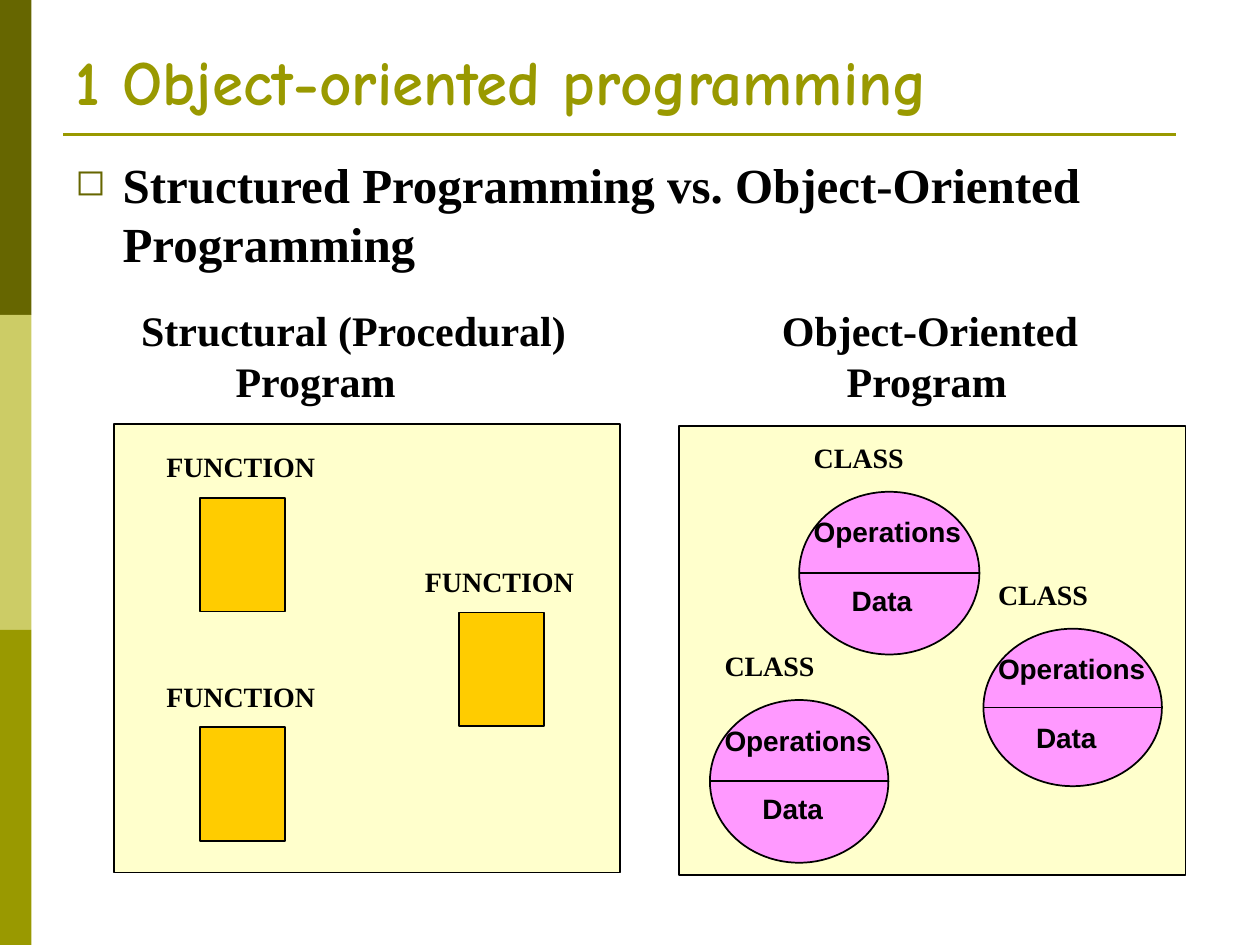
from dataclasses import dataclass

from lxml import etree
from pptx import Presentation
from pptx.dml.color import RGBColor
from pptx.enum.shapes import MSO_CONNECTOR, MSO_SHAPE
from pptx.enum.text import MSO_ANCHOR
from pptx.oxml.ns import qn
from pptx.util import Pt

RECT, OVAL = MSO_SHAPE.RECTANGLE, MSO_SHAPE.OVAL
LINE = MSO_CONNECTOR.STRAIGHT
TOP, BOTTOM = MSO_ANCHOR.TOP, MSO_ANCHOR.BOTTOM


@dataclass(frozen=True)
class Theme:
    dark: str = "666600"
    olive: str = "999900"
    light: str = "CCCC66"
    ink: str = "000000"
    panel: str = "FFFFCC"
    gold: str = "FFCC00"
    pink: str = "FF99FF"
    title: int = 36
    body: int = 28
    head: int = 24
    label: int = 16
    hand: str = "Comic Neue"
    serif: str = "Times New Roman"
    sans: str = "Arial"


class Deck:
    def __init__(self, theme):
        self.theme = theme
        self.prs = Presentation()
        self.prs.slide_width, self.prs.slide_height = Pt(720), Pt(540)
        self.slide = self.prs.slides.add_slide(self.prs.slide_layouts[6])

    def shape(self, kind, x, y, w, h, fill, line=None):
        item = self.slide.shapes.add_shape(kind, Pt(x), Pt(y), Pt(w), Pt(h))
        item.shadow.inherit = False
        item.fill.solid()
        item.fill.fore_color.rgb = RGBColor.from_string(fill)
        if line:
            item.line.color.rgb = RGBColor.from_string(line)
            item.line.width = Pt(1)
        else:
            item.line.fill.background()

    def rule(self, x, y, end, color, width=1):
        item = self.slide.shapes.add_connector(LINE, Pt(x), Pt(y), Pt(end), Pt(y))
        item.line.color.rgb = RGBColor.from_string(color)
        item.line.width = Pt(width)
        etree.SubElement(item._element.spPr, qn("a:effectLst"))

    def text(self, x, y, w, h, words, size, face, color=None,
             pad=(4.3, 2.2), anchor=TOP, indent=0, gap=0):
        """Indent and gap apply to every line after the first."""
        box = self.slide.shapes.add_textbox(Pt(x), Pt(y), Pt(w), Pt(h))
        frame = box.text_frame
        frame.word_wrap = True
        frame.vertical_anchor = anchor
        frame.margin_left = frame.margin_right = Pt(pad[0])
        frame.margin_top = frame.margin_bottom = Pt(pad[1])
        frame.text = words
        for i, para in enumerate(frame.paragraphs):
            if i:
                para._p.get_or_add_pPr().set("marL", str(Pt(indent)))
                para.space_before = Pt(gap)
            for run in para.runs:
                run.font.size = Pt(size)
                run.font.name = face
                run.font.bold = True
                run.font.color.rgb = RGBColor.from_string(color or self.theme.ink)
        return frame

    def bullet(self, para, mark, color, hang, scale):
        props = para._p.get_or_add_pPr()
        props.set("marL", str(Pt(hang)))
        props.set("indent", str(-Pt(hang)))
        tint = etree.SubElement(props, qn("a:buClr"))
        etree.SubElement(tint, qn("a:srgbClr"), val=color)
        etree.SubElement(props, qn("a:buSzPct"), val=str(scale * 1000))
        etree.SubElement(props, qn("a:buChar"), char=mark)

    def panel(self, x, y):
        self.shape(RECT, x, y, 289.5, 256.3, self.theme.panel, self.theme.ink)

    def function(self, x, y):
        t = self.theme
        self.text(x - 23.7, y - 29.5, 101, 26.5, "FUNCTION", t.label, t.serif)
        self.shape(RECT, x, y, 48.5, 65, t.gold, t.ink)

    def group(self, x, y, w, h):
        t = self.theme
        self.text(x + 4, y - 31.5, 87, 28, "CLASS", t.label, t.serif)
        self.shape(OVAL, x, y, w, h, t.pink, t.ink)
        self.rule(x, y + h / 2, x + w, t.ink)
        self.text(x + 4, y + 11, 101, 63, "Operations\nData", t.label, t.sans,
                  indent=21.7, gap=20)


def main():
    t = Theme()
    deck = Deck(t)

    # Side bands and title rule
    for i, color in enumerate((t.dark, t.light, t.olive)):
        deck.shape(RECT, 0, 180 * i, 18, 180, color)
    deck.rule(36, 77, 672, t.olive, 1.5)

    # Title and main point
    deck.text(36, 10, 648, 61, "1 Object-oriented programming", t.title, t.hand,
              t.olive, pad=(7.2, 3.6), anchor=BOTTOM)
    body = deck.text(36, 85, 659, 83,
                     "Structured Programming vs. Object-Oriented Programming",
                     t.body, t.serif, pad=(7.2, 3.6))
    deck.bullet(body.paragraphs[0], "◻", t.dark, 27, 75)

    # Column headings
    deck.text(76.3, 172, 270, 62, "Structural (Procedural)\nProgram",
              t.head, t.serif, indent=54)
    deck.text(442.5, 172, 229, 62, "Object-Oriented\nProgram",
              t.head, t.serif, indent=37)

    # Functions of the structural program
    deck.panel(65, 242.4)
    for i, x in enumerate((114.4, 262.2, 114.4)):
        deck.function(x, 284.4 + 65.6 * i)

    # Classes of the object-oriented program
    deck.panel(388, 243.6)
    for spot in ((562, 359.3, 102, 90), (405.7, 400, 102, 93), (456.7, 281, 103, 93)):
        deck.group(*spot)

    deck.prs.save("out.pptx")


if __name__ == "__main__":
    main()
